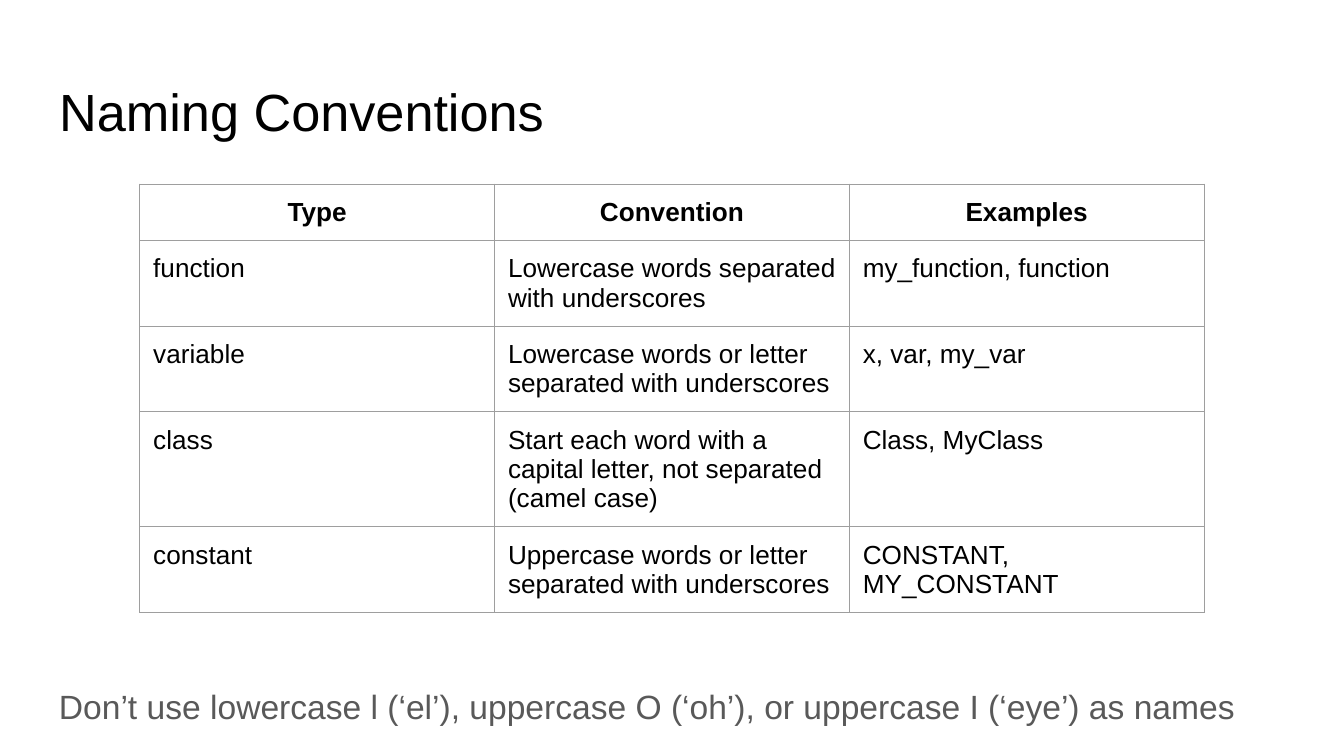
from lxml import etree
from pptx import Presentation
from pptx.dml.color import RGBColor
from pptx.enum.text import MSO_ANCHOR, MSO_AUTO_SIZE, PP_ALIGN
from pptx.oxml.ns import qn
from pptx.util import Inches, Pt

TOP, MIDDLE = MSO_ANCHOR.TOP, MSO_ANCHOR.MIDDLE
LEFT, CENTER = PP_ALIGN.LEFT, PP_ALIGN.CENTER
NO_FIT = MSO_AUTO_SIZE.NONE

COLORS = {"text": "000000", "note": "595959", "border": "9E9E9E"}
INSET = Inches(0.1)


def set_text(frame, text, size, color, align=LEFT, bold=False):
    frame.text = text
    paragraph = frame.paragraphs[0]
    paragraph.alignment = align
    paragraph.font.name = "Arial"
    paragraph.font.size = Pt(size)
    paragraph.font.bold = bold
    paragraph.font.color.rgb = RGBColor.from_string(COLORS[color])


def set_insets(target):
    target.margin_left = target.margin_right = INSET
    target.margin_top = target.margin_bottom = INSET


# Widescreen 16:9 slide
prs = Presentation()
prs.slide_width = Inches(10)
prs.slide_height = Inches(10 * 9 / 16)
slide = prs.slides.add_slide(prs.slide_layouts[5])

# Title
title = slide.shapes.title
title.left, title.top = Inches(0.34), Inches(0.49)
title.width, title.height = Inches(9.32), Inches(0.63)
title.text_frame.auto_size = NO_FIT
title.text_frame.vertical_anchor = TOP
set_insets(title.text_frame)
set_text(title.text_frame, "Naming Conventions", 28, "text")

# Table of conventions: rows grow with their text
rows = [
    ("Type", "Convention", "Examples"),
    ("function", "Lowercase words separated with underscores", "my_function, function"),
    ("variable", "Lowercase words or letter separated with underscores", "x, var, my_var"),
    ("class", "Start each word with a capital letter, not separated (camel case)", "Class, MyClass"),
    ("constant", "Uppercase words or letter separated with underscores", "CONSTANT, MY_CONSTANT"),
]

conventions_frame = slide.shapes.add_table(
    len(rows), len(rows[0]), Inches(1.04), Inches(1.37), Inches(7.92), Inches(3.33)
)
conventions = conventions_frame.table
conventions.first_row = conventions.horz_banding = False
for column in conventions.columns:
    column.width = Inches(2.64)

for r, row in enumerate(rows):
    conventions.rows[r].height = Inches(0.42)
    header = r == 0
    for c, text in enumerate(row):
        cell = conventions.cell(r, c)
        set_insets(cell)
        cell.vertical_anchor = MIDDLE if header else TOP
        set_text(cell.text_frame, text, 14, "text", CENTER if header else LEFT, header)

        # Cell borders come before the fill in the XML
        properties = cell._tc.get_or_add_tcPr()
        for side in ("a:lnL", "a:lnR", "a:lnT", "a:lnB"):
            line = etree.SubElement(properties, qn(side), w=str(Pt(0.75)))
            fill = etree.SubElement(line, qn("a:solidFill"))
            etree.SubElement(fill, qn("a:srgbClr"), val=COLORS["border"])
        cell.fill.background()
conventions_frame.height = Inches(3.33)

# Note under the table
note = slide.shapes.add_textbox(Inches(0.34), Inches(5), Inches(9.32), Inches(0.5)).text_frame
note.word_wrap = True
note.vertical_anchor = MIDDLE
set_insets(note)
set_text(
    note,
    "Don’t use lowercase l (‘el’), uppercase O (‘oh’), or uppercase I (‘eye’) as names",
    18,
    "note",
)

prs.save("out.pptx")
